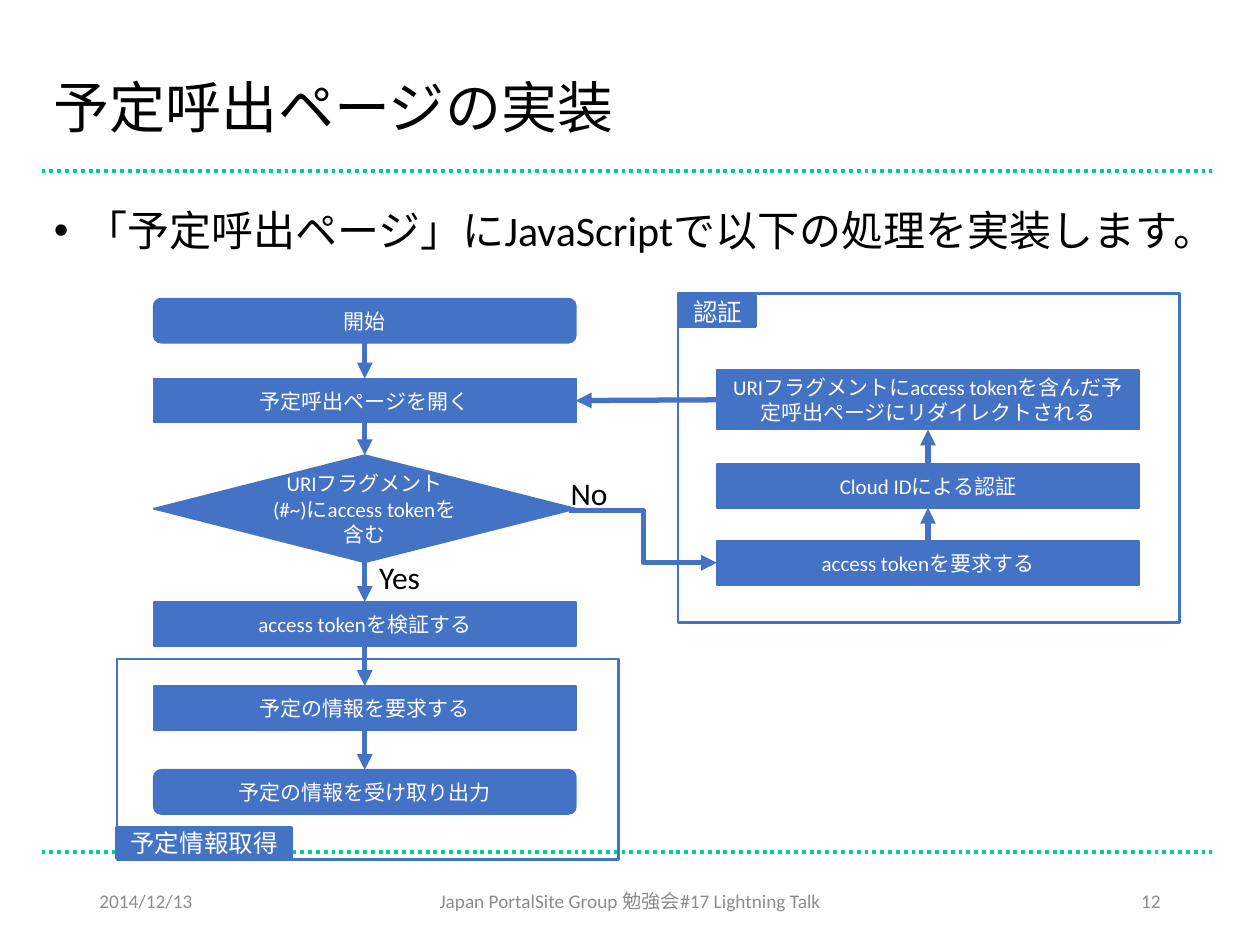
from lxml.etree import SubElement
from pptx import Presentation
from pptx.dml.color import RGBColor
from pptx.enum.dml import MSO_LINE
from pptx.enum.shapes import MSO_CONNECTOR as CONN, MSO_SHAPE as SHAPE
from pptx.enum.text import MSO_ANCHOR as ANCHOR, MSO_AUTO_SIZE as AUTO, PP_ALIGN as ALIGN
from pptx.oxml.ns import qn
from pptx.util import Pt

BLUE = RGBColor(0x44, 0x72, 0xC4)
GREEN = RGBColor(0x00, 0xCC, 0x99)
GRAY = RGBColor(0x8C, 0x8C, 0x8C)
BLACK = RGBColor(0, 0, 0)
WHITE = RGBColor(255, 255, 255)

MARGIN, CONTENT_W = 23.76, 668.88
LEFT_X, RIGHT_X, STEP_W, STEP_H = 87.84, 409.68, 241.2, 25.2
TITLE = "予定呼出ページの実装"
BODY = "「予定呼出ページ」にJavaScriptで以下の処理を実装します。"
RULES = [97.92, 486.72]
FOOTERS = [
    (49.68, 162, "2014/12/13", ALIGN.LEFT),
    (238.32, 243.36, "Japan PortalSite Group 勉強会#17 Lightning Talk", ALIGN.CENTER),
    (508.32, 162, "12", ALIGN.RIGHT),
]
MAIN_STEPS = [
    (SHAPE.FLOWCHART_ALTERNATE_PROCESS, 170.64, STEP_H, "開始"),
    (SHAPE.RECTANGLE, 216.3, STEP_H, "予定呼出ページを開く"),
    (SHAPE.FLOWCHART_DECISION, 260.1, 61.2, "URIフラグメント(#~)にaccess tokenを含む"),
    (SHAPE.RECTANGLE, 344, STEP_H, "access tokenを検証する"),
    (SHAPE.RECTANGLE, 392, STEP_H, "予定の情報を要求する"),
    (SHAPE.FLOWCHART_ALTERNATE_PROCESS, 439.92, STEP_H, "予定の情報を受け取り出力"),
]
AUTH_STEPS = [
    (SHAPE.RECTANGLE, 309, STEP_H, "access tokenを要求する"),
    (SHAPE.RECTANGLE, 265, STEP_H, "Cloud IDによる認証"),
    (SHAPE.RECTANGLE, 211.5, 34, "URIフラグメントにaccess tokenを含んだ予定呼出ページにリダイレクトされる"),
]
BRANCHES = [(209.52, 315.36, "Yes"), (318.96, 267.12, "No")]
FRAMES = [(387.36, 167.76, 286.56, 187.92), (66.96, 376.56, 286.56, 114.48)]
FRAME_LABELS = [(388.8, 169.2, 42.48, "認証"), (66.96, 473.04, 99.36, "予定情報取得")]
LABEL_H = 17.28


def write(shape, text, size, color, align=ALIGN.LEFT, anchor=ANCHOR.MIDDLE, font="Calibri"):
    tf = shape.text_frame
    tf.word_wrap = True
    tf.vertical_anchor = anchor
    p = tf.paragraphs[0]
    p.alignment = align
    r = p.add_run()
    r.text = text
    r.font.size = Pt(size)
    r.font.name = font
    r.font.color.rgb = color
    return p


def add_text(box, *args, **kwargs):
    return write(s.shapes.add_textbox(*map(Pt, box)), *args, **kwargs)


def add_box(kind, box, line_width, filled=True):
    sp = s.shapes.add_shape(kind, *map(Pt, box))
    sp.shadow.inherit = False
    if filled:
        sp.fill.solid()
        sp.fill.fore_color.rgb = BLUE
    else:
        sp.fill.background()
    sp.line.color.rgb = BLUE
    sp.line.width = Pt(line_width)
    return sp


def add_line(kind, ends, color, width):
    c = s.shapes.add_connector(kind, *map(Pt, ends))
    c.line.color.rgb = color
    c.line.width = Pt(width)
    SubElement(c._element.spPr, qn("a:effectLst"))
    return c


def add_arrow(kind, ends):
    c = add_line(kind, ends, BLUE, 3)
    SubElement(c.line._get_or_add_ln(), qn("a:tailEnd"), type="triangle")
    return c


def join(start, start_side, end, end_side):
    c = add_arrow(CONN.STRAIGHT, (0, 0, 0, 0))
    c.begin_connect(start, start_side)
    c.end_connect(end, end_side)


def add_steps(x, steps, exit_side, entry_side):
    shapes = []
    for kind, y, h, text in steps:
        sp = add_box(kind, (x, y, STEP_W, h), 1)
        write(sp, text, 12, WHITE, ALIGN.CENTER)
        shapes.append(sp)
    for a, b in zip(shapes, shapes[1:]):
        join(a, exit_side, b, entry_side)
    return shapes


prs = Presentation()
prs.slide_width, prs.slide_height = Pt(720), Pt(540)
s = prs.slides.add_slide(prs.slide_layouts[6])

for y in RULES:
    rule = add_line(CONN.STRAIGHT, (MARGIN, y, MARGIN + CONTENT_W, y), GREEN, 2.25)
    rule.line.dash_style = MSO_LINE.ROUND_DOT

p = add_text((MARGIN, 116.64, CONTENT_W, 369.36), BODY, 24, BLACK, anchor=ANCHOR.TOP)
p.line_spacing = 0.9
p.space_before = Pt(10)
pPr = p._p.get_or_add_pPr()
pPr.set("marL", str(Pt(18)))
pPr.set("indent", str(-Pt(18)))
SubElement(pPr, qn("a:buFont"), typeface="Arial")
SubElement(pPr, qn("a:buChar"), char="•")

p = add_text((MARGIN, 28.8, CONTENT_W, 69.12), TITLE, 32, BLACK, font="Arial")
p.line_spacing = 0.9

for x, w, text, align in FOOTERS:
    add_text((x, 500.4, w, 28.8), text, 11, GRAY, align)

main = add_steps(LEFT_X, MAIN_STEPS, 2, 0)
auth = add_steps(RIGHT_X, AUTH_STEPS, 0, 2)

for x, y, text in BRANCHES:
    sp = s.shapes.add_textbox(Pt(x), Pt(y), Pt(101.52), Pt(28.8))
    write(sp, text, 18, BLACK, anchor=ANCHOR.TOP)
    sp.text_frame.auto_size = AUTO.SHAPE_TO_FIT_TEXT

for box in FRAMES:
    add_box(SHAPE.RECTANGLE, box, 1.5, filled=False)
for x, y, w, text in FRAME_LABELS:
    sp = add_box(SHAPE.RECTANGLE, (x, y, w, LABEL_H), 2.25)
    write(sp, text, 14, WHITE, ALIGN.CENTER)
    sp.text_frame.word_wrap = False

join(auth[-1], 1, main[1], 3)
add_arrow(CONN.ELBOW, (325.44, 291.6, RIGHT_X, 321.6))

prs.save("out.pptx")
